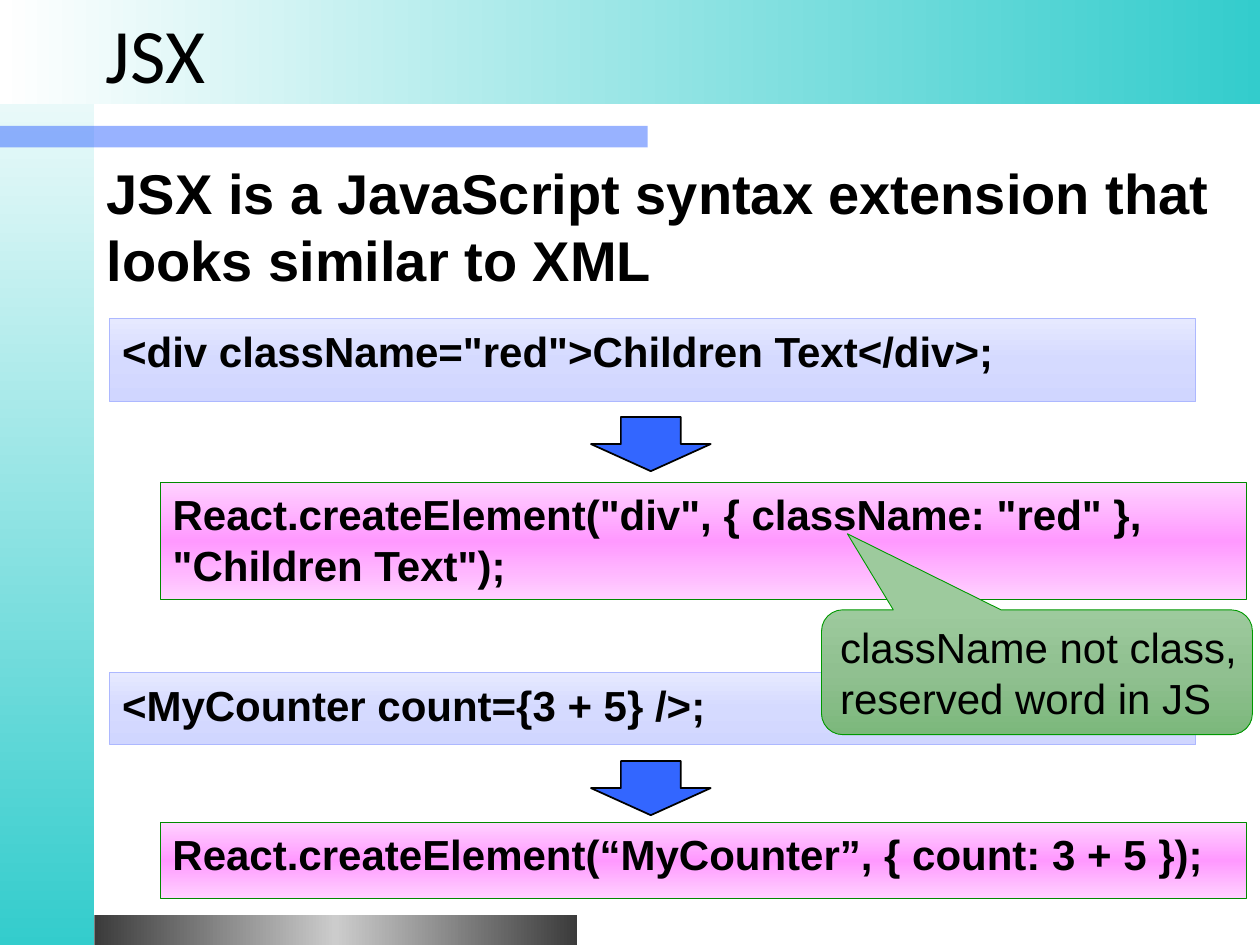
"""Build a slide that shows how JSX turns into React.createElement calls."""
from lxml import etree
from pptx import Presentation
from pptx.dml.color import RGBColor
from pptx.enum import shapes as kinds, text as txt
from pptx.oxml.ns import qn
from pptx.util import Inches, Pt

COLORS = {
    "black": "000000", "white": "FFFFFF", "teal": "33CCCC", "blue": "3366FF",
    "charcoal": "3B3B3B", "silver": "CCCCCC",
    "jsx": ["E6E9FF", "D5DAFF", "D0D6FF"], "jsx_edge": "ADB8FF",
    "call": ["FFD1FF", "FF99FF", "FFD1FF"], "call_edge": "008A00",
    "note": ["9DCA9D", "90C090", "7CB87C"], "note_edge": "009900",
}


def paint(shape, fills, angle=90, edge=None, width=0.5):
    """Fill with one colour or an even gradient, and set the outline."""
    if len(fills) == 1:
        shape.fill.solid()
        shape.fill.fore_color.rgb = RGBColor.from_string(fills[0])
    else:
        shape.fill.gradient()
        shape.fill.gradient_angle = -angle % 360
        stops = shape._element.spPr.find(".//" + qn("a:gsLst"))
        for stop in list(stops):
            stops.remove(stop)
        for i, color in enumerate(fills):
            position = str(100000 * i // (len(fills) - 1))
            stop = etree.SubElement(stops, qn("a:gs"), pos=position)
            etree.SubElement(stop, qn("a:srgbClr"), val=color)
    if edge:
        shape.line.color.rgb = RGBColor.from_string(edge)
        shape.line.width = Pt(width)
    else:
        shape.line.fill.background()


def write(shape, words, size, bold=True, font="Arial", before=0.2,
          anchor=txt.MSO_ANCHOR.TOP, wrap=True):
    """Set left-aligned text in one style."""
    frame = shape.text_frame
    frame.text = words
    frame.word_wrap = wrap
    frame.auto_size = txt.MSO_AUTO_SIZE.NONE
    frame.vertical_anchor = anchor
    for paragraph in frame.paragraphs:
        paragraph.alignment = txt.PP_ALIGN.LEFT
        paragraph.space_before = Pt(size * before)
        props = paragraph._p.get_or_add_pPr()
        props.set("marL", "0")
        props.set("indent", "0")
        etree.SubElement(props, qn("a:buNone"))
        for run in paragraph.runs:
            run.font.size = Pt(size)
            run.font.bold = bold
            run.font.name = font
            run.font.color.rgb = RGBColor.from_string(COLORS["black"])


deck = Presentation()
deck.slide_width, deck.slide_height = Inches(10), Inches(7.5)
slide = deck.slides.add_slide(deck.slide_layouts[3])
parts = slide.shapes
title, first_jsx, first_call = slide.placeholders

fade = [COLORS["white"], COLORS["teal"]]
metal = [COLORS["charcoal"], COLORS["silver"], COLORS["charcoal"]]
bands = [
    (-0.04, 0.01, 0.79, 7.5, fade, 90),
    (-0.03, 1, 5.17, 0.17, [COLORS["blue"]], 0),
    (0.75, 7.26, 3.83, 0.25, metal, 0),
    (0, 0, 10, 0.83, fade, 0),
]
for layer, (*box, fills, angle) in enumerate(bands, start=2):
    band = parts.add_shape(kinds.MSO_SHAPE.RECTANGLE, *map(Inches, box))
    band.shadow.inherit = False
    paint(band, fills, angle)
    if len(fills) == 1:
        solid = band._element.spPr.find(".//" + qn("a:srgbClr"))
        etree.SubElement(solid, qn("a:alpha"), val="50000")
    parts._spTree.insert(layer, band._element)

title.left, title.top, title.width, title.height = map(Inches, (0.74, 0, 8.51, 0.84))
write(title, "JSX", 44, False, "Calibri", 0, txt.MSO_ANCHOR.MIDDLE)

definition = parts.add_textbox(*map(Inches, (0.75, 1.21, 9, 1.13)))
write(definition, "JSX is a JavaScript syntax extension that looks similar to XML", 32)

second_jsx, second_call = [
    parts.add_shape(kinds.MSO_SHAPE.RECTANGLE, 0, 0, 0, 0) for _ in range(2)]
snippets = [
    (first_jsx, "jsx", 2.53, 0.66, '<div className="red">Children Text</div>;'),
    (first_call, "call", 3.83, 0.93,
     'React.createElement("div", { className: "red" }, "Children Text");'),
    (second_jsx, "jsx", 5.34, 0.57, "<MyCounter count={3 + 5} />;"),
    (second_call, "call", 6.53, 0.6,
     "React.createElement(“MyCounter”, { count: 3 + 5 });"),
]
for snippet, role, top, height, code in snippets:
    snippet.left = Inches(0.87 if role == "jsx" else 1.27)
    snippet.top, snippet.width, snippet.height = map(Inches, (top, 8.62, height))
    paint(snippet, COLORS[role], edge=COLORS[role + "_edge"])
    write(snippet, code, 24)
for snippet in (second_jsx, second_call):
    snippet.shadow.inherit = False

for top in (3.31, 6.04):
    arrow = parts.add_shape(kinds.MSO_SHAPE.DOWN_ARROW,
                            *map(Inches, (4.69, top, 0.95, 0.43)))
    arrow.shadow.inherit = False
    paint(arrow, [COLORS["blue"]], edge=COLORS["black"], width=1)

note = parts.add_shape(kinds.MSO_SHAPE.ROUNDED_RECTANGULAR_CALLOUT,
                       *map(Inches, (6.52, 4.84, 3.42, 0.99)))
note.shadow.inherit = False
for i, value in enumerate((-0.44, -1.11, 0.17)):
    note.adjustments[i] = value
paint(note, COLORS["note"], edge=COLORS["note_edge"])
write(note, "className not class,\nreserved word in JS", 24, False, before=0,
      anchor=txt.MSO_ANCHOR.MIDDLE, wrap=False)

deck.save("out.pptx")
